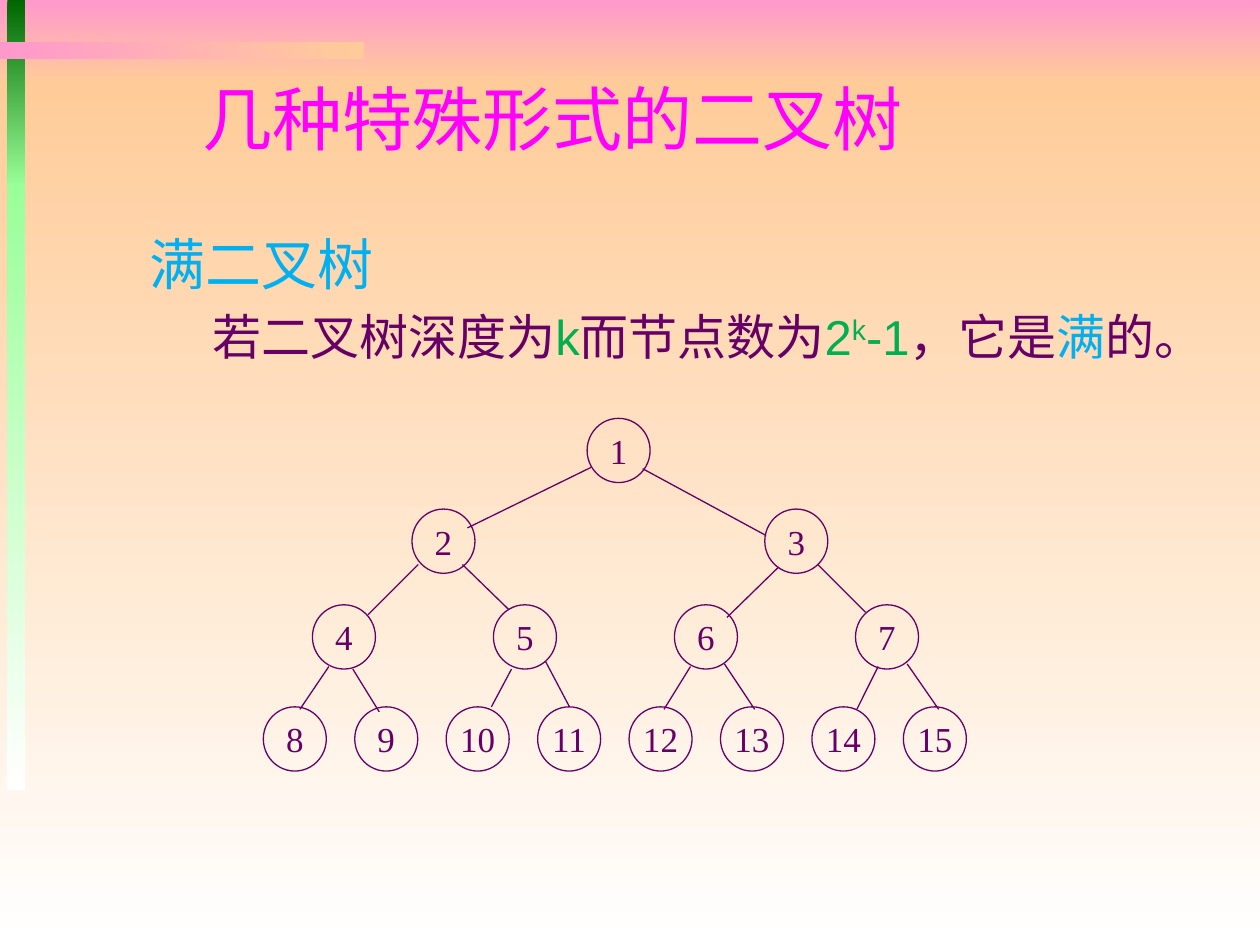
from lxml import etree
from pptx import Presentation
from pptx.dml import color
from pptx.enum import shapes, text
from pptx.oxml import ns
from pptx.util import Inches, Pt

PURPLE, GREEN, BLUE, MAGENTA = "660066", "00B050", "00B0F0", "FF00FF"
PINK, PEACH, WHITE, DARK_GREEN, LIGHT_GREEN = "FF99CC", "FFCC99", "FFFFFF", "006600", "99FF99"
DOWN, RIGHT = 270, 0

BANDS = [
    ((0, 0, 10, 0.67), PINK, PEACH, DOWN),
    ((0, 0.67, 10, 6.83), PEACH, WHITE, DOWN),
    ((0.06, 0, 0.14, 1.48), DARK_GREEN, LIGHT_GREEN, DOWN),
    ((0.06, 1.46, 0.14, 4.81), LIGHT_GREEN, WHITE, DOWN),
    ((0, 0.33, 2.89, 0.14), PINK, PEACH, RIGHT),
]
DEFINITION = [
    ("若二叉树深度为", PURPLE, 0), ("k", GREEN, 0), ("而节点数为", PURPLE, 0),
    ("2", GREEN, 0), ("k", GREEN, 30), ("-1", GREEN, 0),
    ("，它是", PURPLE, 0), ("满", BLUE, 0), ("的。", PURPLE, 0),
]
TREE_LEVELS = [(3.32, 4.66, 4.66), (4.04, 3.27, 6.07), (4.8, 2.48, 6.79), (5.61, 2.09, 7.17)]
BRANCHES = [
    (4.69, 3.71, 3.71, 4.19), (5.1, 3.72, 6.08, 4.25),
    (3.32, 4.48, 2.92, 4.88), (3.67, 4.48, 4.04, 4.84),
    (6.18, 4.5, 5.77, 4.9), (6.49, 4.48, 6.87, 4.86),
    (2.61, 5.29, 2.38, 5.63), (2.8, 5.31, 3.01, 5.65),
    (4.06, 5.31, 3.9, 5.61), (4.33, 5.25, 4.52, 5.61),
    (5.48, 5.29, 5.27, 5.63), (5.75, 5.27, 5.99, 5.63),
    (6.97, 5.29, 6.8, 5.63), (7.2, 5.27, 7.45, 5.63),
]


def rgb(value):
    return color.RGBColor.from_string(value)


class TreeSlide:
    """Holds the style and the current slide, with a method for each kind of element."""

    def __init__(self, slide):
        self.slide = slide
        self.line_width = Pt(0.75)

    def outline(self, line):
        line.color.rgb = rgb(PURPLE)
        line.width = self.line_width

    def shape(self, kind, box):
        shape = self.slide.shapes.add_shape(kind, *map(Inches, box))
        shape.shadow.inherit = False
        return shape

    def band(self, box, start, end, angle):
        band = self.shape(shapes.MSO_SHAPE.RECTANGLE, box)
        band.line.fill.background()
        band.fill.gradient()
        band.fill.gradient_angle = angle
        for stop, position, value in zip(band.fill.gradient_stops, (0, 1), (start, end)):
            stop.position = position
            stop.color.rgb = rgb(value)

    def placeholder(self, holder, box):
        holder.left, holder.top, holder.width, holder.height = map(Inches, box)
        self.slide.shapes._spTree.append(holder._element)
        frame = holder.text_frame
        frame.word_wrap = True
        frame.auto_size = text.MSO_AUTO_SIZE.NONE
        frame.vertical_anchor = text.MSO_ANCHOR.TOP
        return frame

    def paragraph(self, paragraph, runs, size, indent, level=0):
        paragraph.level = level
        paragraph.alignment = text.PP_ALIGN.LEFT
        paragraph.font.name = "Arial"
        paragraph.font.size = Pt(size)
        properties = paragraph._p.get_or_add_pPr()
        properties.set("marL", str(Inches(indent)))
        properties.set("indent", "0")
        properties.insert_element_before(
            etree.SubElement(properties, ns.qn("a:buNone")), "a:tabLst", "a:defRPr", "a:extLst")
        for words, value, baseline in runs:
            run = paragraph.add_run()
            run.text = words
            run.font.color.rgb = rgb(value)
            if baseline:
                run._r.get_or_add_rPr().set("baseline", str(baseline * 1000))

    def node(self, number, left, top):
        node = self.shape(shapes.MSO_SHAPE.OVAL, (left, top, 0.5, 0.51))
        node.fill.background()
        self.outline(node.line)
        frame = node.text_frame
        frame.word_wrap = False
        frame.vertical_anchor = text.MSO_ANCHOR.MIDDLE
        label = frame.paragraphs[0]
        label.text = str(number)
        label.alignment = text.PP_ALIGN.CENTER
        label.font.name = "Times New Roman"
        label.font.size = Pt(20)
        label.font.color.rgb = rgb(PURPLE)

    def branch(self, ends):
        branch = self.slide.shapes.add_connector(
            shapes.MSO_CONNECTOR.STRAIGHT, *map(Inches, ends))
        self.outline(branch.line)
        etree.SubElement(branch._element.spPr, ns.qn("a:effectLst"))


def main():
    deck = Presentation()
    deck.slide_width, deck.slide_height = Inches(10), Inches(7.5)
    page = TreeSlide(deck.slides.add_slide(deck.slide_layouts[1]))
    title, body = page.slide.placeholders

    for band in BANDS:
        page.band(*band)

    definition = page.placeholder(body, (0.59, 1.77, 9.51, 1.42))
    page.paragraph(definition.paragraphs[0], [("满二叉树", BLUE, 0)], 32, 0.5)
    page.paragraph(definition.add_paragraph(), DEFINITION, 28, 1, level=1)
    heading = page.placeholder(title, (1.01, 0.55, 7.12, 0.77))
    page.paragraph(heading.paragraphs[0], [("几种特殊形式的二叉树", MAGENTA, 0)], 40, 0.5)

    for depth, (top, first, last) in enumerate(TREE_LEVELS):
        count = 2 ** depth
        gap = (last - first) / max(count - 1, 1)
        for i in range(count):
            page.node(count + i, first + i * gap, top)
    for ends in BRANCHES:
        page.branch(ends)

    deck.save("out.pptx")


if __name__ == "__main__":
    main()
